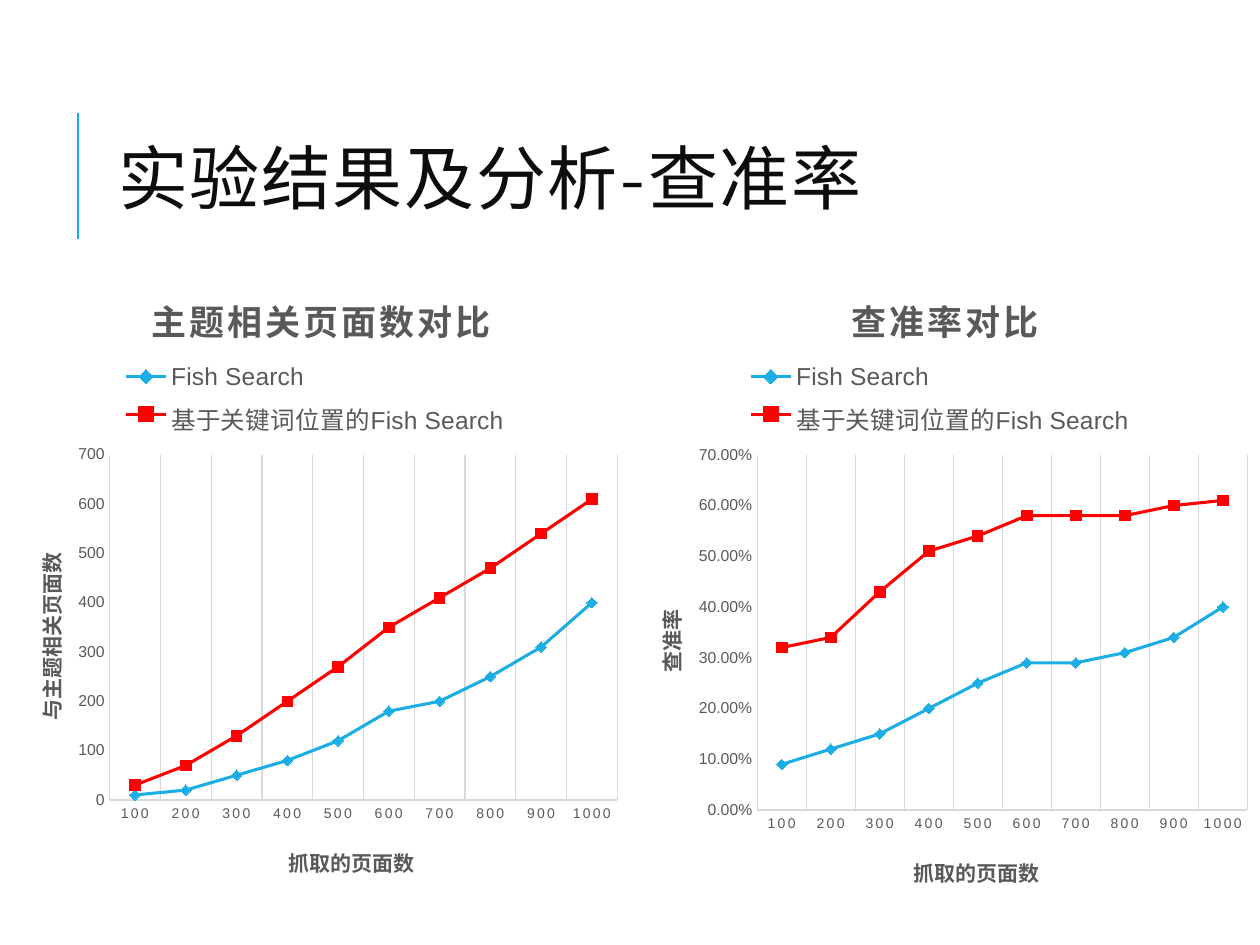
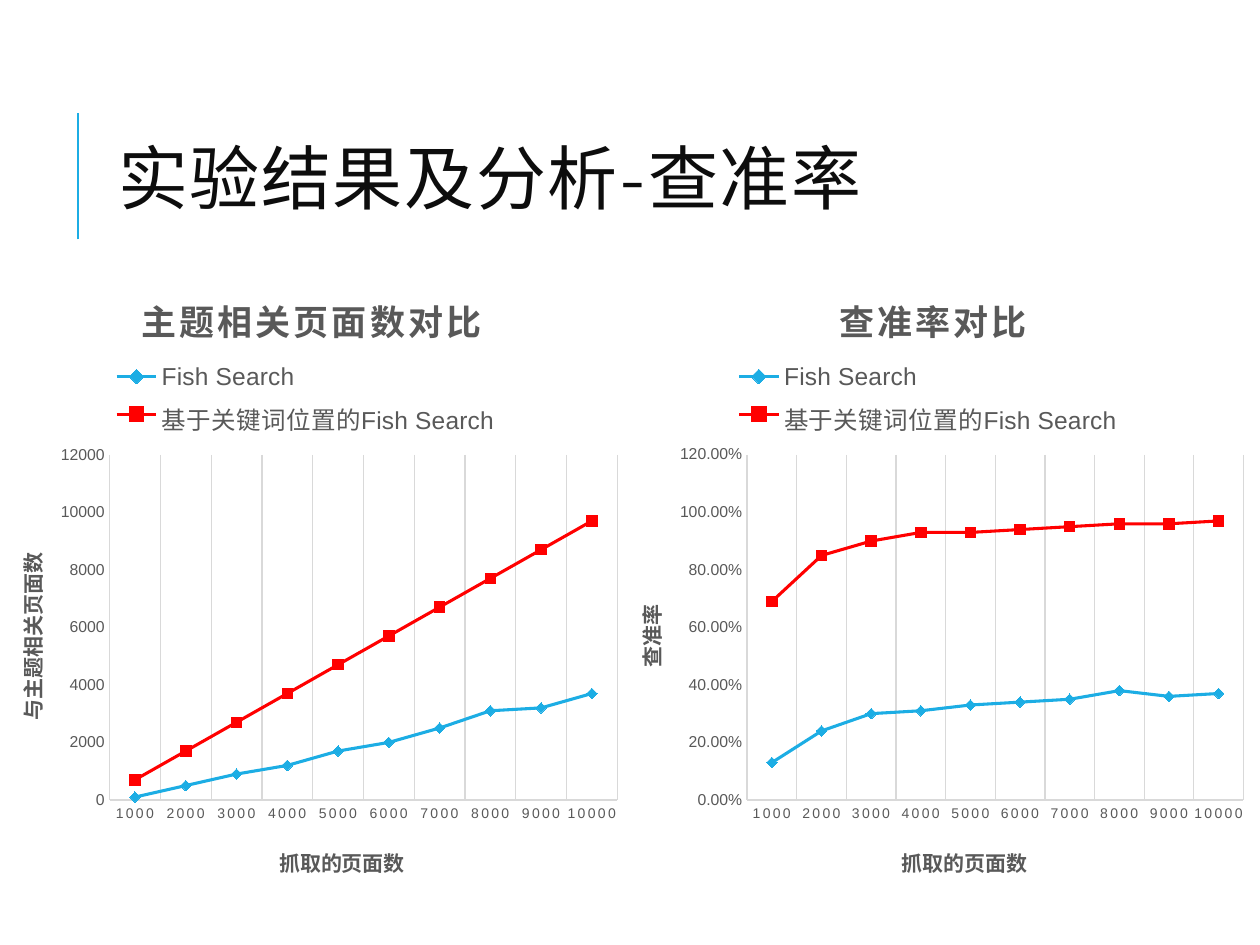
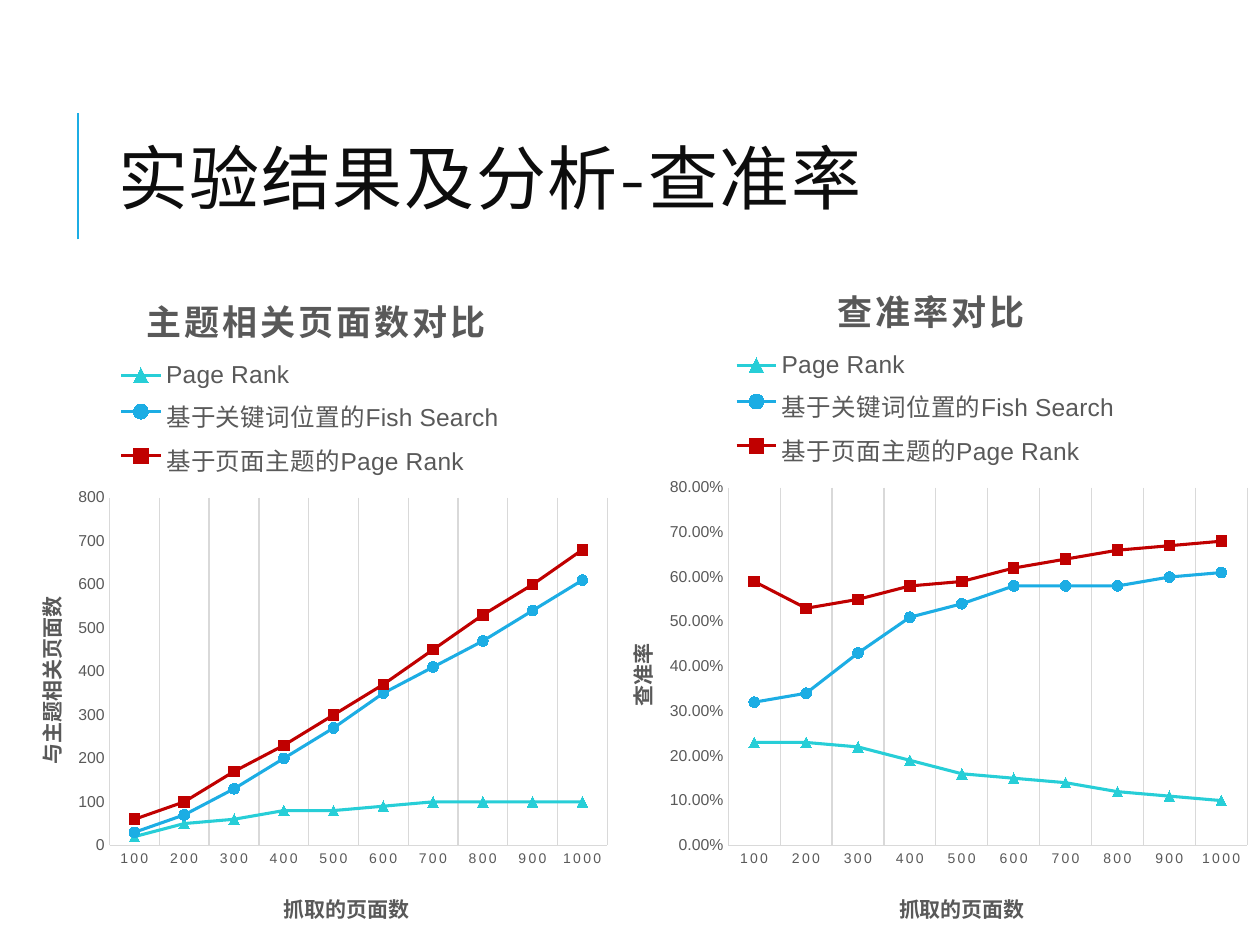
from lxml import etree
from pptx import Presentation
from pptx.chart.data import CategoryChartData
from pptx.dml.color import RGBColor
from pptx.enum.chart import XL_CHART_TYPE, XL_LEGEND_POSITION as LEGEND_POS
from pptx.enum.chart import XL_MARKER_STYLE as MARKER, XL_TICK_MARK as TICK
from pptx.enum.text import MSO_ANCHOR
from pptx.oxml.ns import qn
from pptx.util import Inches, Pt

# Shared look
BLUE, RED, DARK_RED, TEAL = "1CADE4", "FF0000", "C00000", "27CED7"
INK, GREY, GRID = "0D0D0D", "595959", "D9D9D9"
TITLE_FONT, CHART_FONT = "Montserrat", "Arial"
SLIDE_TITLE = "实验结果及分析-查准率"

# Chart wording
PAGES_CRAWLED = "抓取的页面数"
COUNT = ("主题相关页面数对比", "与主题相关页面数", "General")
PRECISION = ("查准率对比", "查准率", "0.00%")
FISH, KEYWORD_FISH = "Fish Search", "基于关键词位置的Fish Search"
RANK, TOPIC_RANK = "Page Rank", "基于页面主题的Page Rank"

# Series styles: name, colour, marker
FISH_STYLES = [(FISH, BLUE, MARKER.DIAMOND), (KEYWORD_FISH, RED, MARKER.SQUARE)]
RANK_STYLES = [(RANK, TEAL, MARKER.TRIANGLE), (KEYWORD_FISH, BLUE, MARKER.CIRCLE),
               (TOPIC_RANK, DARK_RED, MARKER.SQUARE)]

# Values used on two slides
KEYWORD_COUNT = [30, 70, 130, 200, 270, 350, 410, 470, 540, 610]
KEYWORD_PRECISION = [0.32, 0.34, 0.43, 0.51, 0.54, 0.58, 0.58, 0.58, 0.6, 0.61]

# Slides: step of the categories, series styles, and charts as
# (wording, box, left inset of the plot, values)
SLIDES = [
    (100, FISH_STYLES, [
        (PRECISION, (4.92, 2.02, 5.08, 5.2), 1.09,
         [[0.09, 0.12, 0.15, 0.2, 0.25, 0.29, 0.29, 0.31, 0.34, 0.4],
          KEYWORD_PRECISION]),
        (COUNT, (0, 2.02, 5, 5.12), 0.87,
         [[10, 20, 50, 80, 120, 180, 200, 250, 310, 400], KEYWORD_COUNT]),
    ]),
    (1000, FISH_STYLES, [
        (COUNT, (-0.15, 2.02, 5.15, 5.12), 1.02,
         [[100, 500, 900, 1200, 1700, 2000, 2500, 3100, 3200, 3700],
          list(range(700, 9701, 1000))]),
        (PRECISION, (4.76, 2.02, 5.21, 5.12), 1.17,
         [[0.13, 0.24, 0.3, 0.31, 0.33, 0.34, 0.35, 0.38, 0.36, 0.37],
          [0.69, 0.85, 0.9, 0.93, 0.93, 0.94, 0.95, 0.96, 0.96, 0.97]]),
    ]),
    (100, RANK_STYLES, [
        (PRECISION, (4.69, 1.94, 5.31, 5.56), 1.09,
         [[0.23, 0.23, 0.22, 0.19, 0.16, 0.15, 0.14, 0.12, 0.11, 0.1],
          KEYWORD_PRECISION,
          [0.59, 0.53, 0.55, 0.58, 0.59, 0.62, 0.64, 0.66, 0.67, 0.68]]),
        (COUNT, (0, 2.02, 4.92, 5.48), 0.87,
         [[20, 50, 60, 80, 80, 90, 100, 100, 100, 100], KEYWORD_COUNT,
          [60, 100, 170, 230, 300, 370, 450, 530, 600, 680]]),
    ]),
]


def rgb(color):
    return RGBColor.from_string(color)


def set_font(font, size, color, name=CHART_FONT, bold=False):
    font.size, font.name, font.bold = Pt(size), name, bold
    font.color.rgb = rgb(color)


def set_line(line, color, width):
    line.color.rgb = rgb(color)
    line.width = Pt(width)


def set_spacing(props, points):
    props.set("spc", str(int(points * 100)))


def place(el, index, chart_size, x, y, size=None):
    """Fix a chart part at x, y (inches within the chart)."""
    for old in el.findall(qn("c:layout")):
        el.remove(old)
    layout = etree.Element(qn("c:layout"))
    manual = etree.SubElement(layout, qn("c:manualLayout"))

    def add(tag, val):
        etree.SubElement(manual, qn(f"c:{tag}")).set("val", str(val))

    if index == 0:
        add("layoutTarget", "inner")
    add("xMode", "edge")
    add("yMode", "edge")
    add("x", x / chart_size[0])
    add("y", y / chart_size[1])
    if size:
        add("w", size[0] / chart_size[0])
        add("h", size[1] / chart_size[1])
    el.insert(index, layout)


def write_title(title, text, size, spacing=0):
    p = title.text_frame.paragraphs[0]
    p.text = text
    set_font(p.font, size, GREY, bold=True)
    set_spacing(p.font._element, spacing)


def add_slide_title(s):
    rule = s.shapes.add_connector(1, Inches(0.62), Inches(1.9), Inches(0.62), Inches(0.9))
    set_line(rule.line, BLUE, 1.5)
    etree.SubElement(rule._element.spPr, qn("a:effectLst"))

    tf = s.shapes.add_textbox(Inches(0.84), Inches(0.64), Inches(7.97), Inches(1.64)).text_frame
    tf.word_wrap = True
    tf.vertical_anchor = MSO_ANCHOR.MIDDLE
    p = tf.paragraphs[0]
    p.line_spacing = 0.8
    r = p.add_run()
    r.text = SLIDE_TITLE
    set_font(r.font, 40, INK, TITLE_FONT)
    set_spacing(r._r.get_or_add_rPr(), 1)


def style_axis(axis, title, size, grid):
    axis.has_major_gridlines = grid
    axis.major_tick_mark = axis.minor_tick_mark = TICK.NONE
    set_line(axis.format.line, GRID, 0.75)
    if grid:
        set_line(axis.major_gridlines.format.line, GRID, 0.75)
    set_font(axis.tick_labels.font, size, GREY)
    write_title(axis.axis_title, title, 12)


def add_line_chart(s, step, styles, wording, box, plot_left, values):
    heading, value_title, number_format = wording
    data = CategoryChartData(number_format=number_format)
    data.categories = [str(step * i) for i in range(1, 11)]
    for (name, _, _), vals in zip(styles, values):
        data.add_series(name, vals)
    chart = s.shapes.add_chart(XL_CHART_TYPE.LINE_MARKERS, *map(Inches, box), data).chart
    set_font(chart.font, 10, "000000")

    # Series
    for series, (_, color, marker) in zip(chart.plots[0].series, styles):
        series.smooth = False
        set_line(series.format.line, color, 1.75)
        series.marker.style, series.marker.size = marker, 6
        series.marker.format.fill.solid()
        series.marker.format.fill.fore_color.rgb = rgb(color)
        set_line(series.marker.format.line, color, 0.75)

    # Heading, axes and legend
    chart.has_title = True
    write_title(chart.chart_title, heading, 20, 1.5)
    cat_axis, val_axis = chart.category_axis, chart.value_axis
    style_axis(cat_axis, PAGES_CRAWLED, 8, True)
    set_spacing(cat_axis.tick_labels.font._element, 1.2)
    style_axis(val_axis, value_title, 9, False)
    val_axis.tick_labels.number_format = number_format
    val_axis.tick_labels.number_format_is_linked = False
    chart.has_legend = True
    chart.legend.position = LEGEND_POS.TOP
    chart.legend.include_in_layout = False
    set_font(chart.legend.font, 14, GREY)

    # Placing inside the chart
    size = width, height = box[2:]
    n = len(styles)
    plot_top = 0.91 + 0.34 * n
    plot_size = (width - plot_left - 0.1, height - plot_top - 0.79)
    value_mid = plot_top + plot_size[1] / 2 + 0.04
    place(chart._chartSpace.chart.plotArea, 0, size, plot_left, plot_top, plot_size)
    place(chart.chart_title._element, 1, size, (width - len(heading) * 0.3) / 2, 0.24)
    place(cat_axis.axis_title._element, 1, size, width / 2 - 0.24, height - 0.47)
    place(val_axis.axis_title._element, 1, size, 0.23, value_mid - len(value_title) / 12)
    place(chart.legend._element, 1, size, width / 2 - 1.6, 0.78, (3.2, 0.1 + 0.32 * n))


def main():
    prs = Presentation()
    prs.slide_width, prs.slide_height = Inches(10), Inches(7.5)
    for step, styles, charts in SLIDES:
        s = prs.slides.add_slide(prs.slide_layouts[6])
        add_slide_title(s)
        for chart in charts:
            add_line_chart(s, step, styles, *chart)
    prs.save("out.pptx")


if __name__ == "__main__":
    main()
